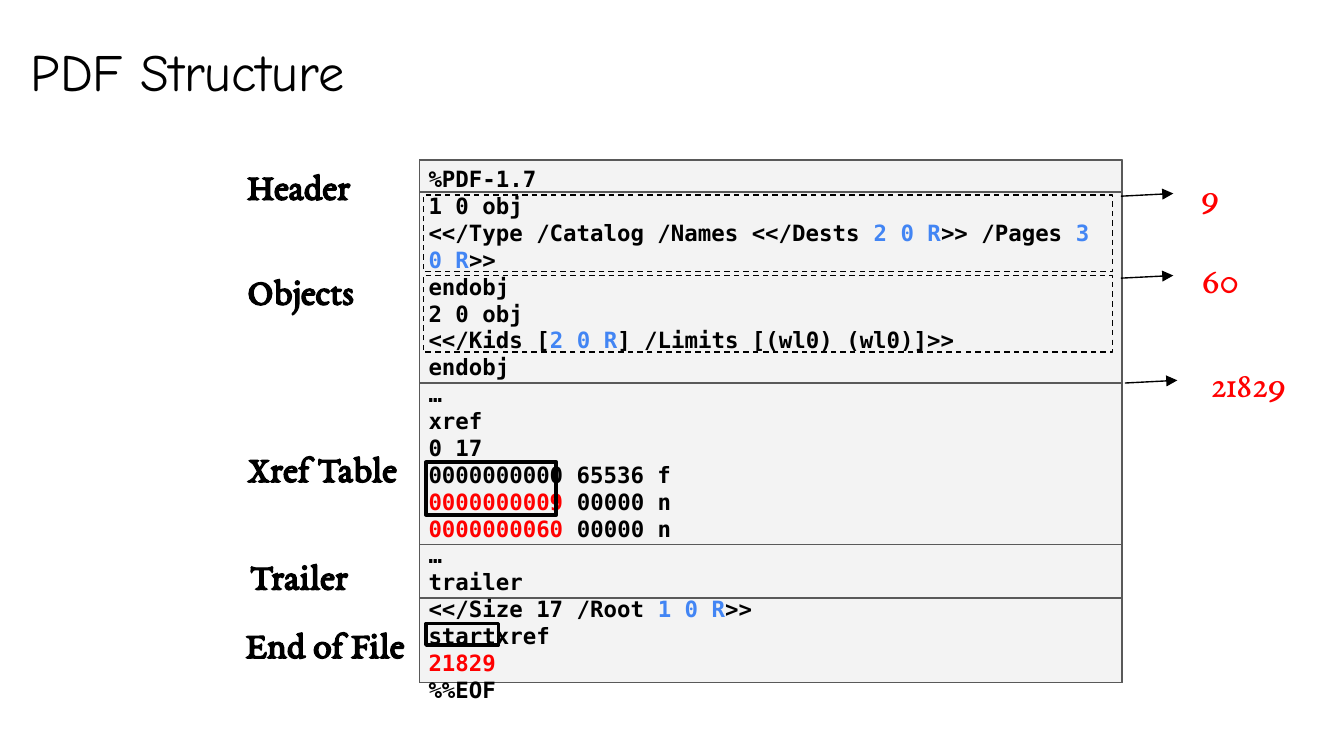
from dataclasses import dataclass

from lxml import etree
from pptx import Presentation
from pptx.dml.color import RGBColor
from pptx.enum.dml import MSO_LINE_DASH_STYLE as Dash
from pptx.enum.shapes import MSO_CONNECTOR as Conn, MSO_SHAPE as Shape
from pptx.enum.text import MSO_ANCHOR as Anchor, MSO_AUTO_SIZE as AutoSize, PP_ALIGN as Align
from pptx.oxml.ns import qn
from pptx.util import Inches, Pt


@dataclass(frozen=True)
class Theme:
    ink: str = "000000"
    band: str = "F3F3F3"
    border: str = "595959"
    ref: str = "4285F4"
    offset: str = "FF0000"
    title_font: str = "Comic Neue"
    label_font: str = "EB Garamond"
    code_font: str = "DejaVu Sans Mono"
    title_size: float = 28
    label_size: float = 20
    code_size: float = 12
    code_pitch: float = 14.4
    thin: float = 0.75
    thick: float = 2


T = Theme()

CODE = [
    ["%PDF-1.7"],
    ["1 0 obj"],
    ["<</Type /Catalog /Names <</Dests ", ("2 0 R", T.ref), ">> /Pages ", ("3 0 R", T.ref), ">>"],
    ["endobj"],
    ["2 0 obj"],
    ["<</Kids [", ("2 0 R", T.ref), "] /Limits [(wl0) (wl0)]>>"],
    ["endobj"],
    ["…"],
    ["xref"],
    ["0 17"],
    ["0000000000 65536 f"],
    [("0000000009", T.offset), " 00000 n"],
    [("0000000060", T.offset), " 00000 n"],
    ["…"],
    ["trailer"],
    ["<</Size 17 /Root ", ("1 0 R", T.ref), ">>"],
    ["startxref"],
    [("21829", T.offset)],
    ["%%EOF"],
]


def write(shape, lines, font, size, color=T.ink, bold=False, align=Align.LEFT,
          anchor=Anchor.TOP, pitch=None):
    tf = shape.text_frame
    tf.word_wrap = True
    tf.auto_size = AutoSize.NONE
    tf.vertical_anchor = anchor
    tf.margin_left = tf.margin_right = tf.margin_top = tf.margin_bottom = Inches(0.1)
    for i, line in enumerate(lines):
        p = tf.add_paragraph() if i else tf.paragraphs[0]
        p.alignment = align
        if pitch:
            p.line_spacing = Pt(pitch)
        for part in line:
            text, tint = (part, color) if isinstance(part, str) else part
            r = p.add_run()
            r.text = text
            r.font.name, r.font.size, r.font.bold = font, Pt(size), bold
            r.font.color.rgb = RGBColor.from_string(tint)


def add_text(s, box, lines, **fmt):
    write(s.shapes.add_textbox(*map(Inches, box)), lines, **fmt)


def add_rect(s, box, line, width=T.thin, fill=None, dash=None):
    sp = s.shapes.add_shape(Shape.RECTANGLE, *map(Inches, box))
    sp.shadow.inherit = False
    if fill:
        sp.fill.solid()
        sp.fill.fore_color.rgb = RGBColor.from_string(fill)
    else:
        sp.fill.background()
    sp.line.color.rgb = RGBColor.from_string(line)
    sp.line.width = Pt(width)
    if dash:
        sp.line.dash_style = dash


def add_arrow(s, x, y, dx, dy):
    c = s.shapes.add_connector(Conn.STRAIGHT, *map(Inches, (x, y, x + dx, y + dy)))
    c.line.color.rgb = RGBColor.from_string(T.ink)
    c.line.width = Pt(T.thin)
    etree.SubElement(c._element.spPr.get_or_add_ln(), qn("a:tailEnd"), type="triangle")
    etree.SubElement(c._element.spPr, qn("a:effectLst"))


def add_title(s, box, text):
    title = s.shapes.title
    title.left, title.top, title.width, title.height = map(Inches, box)
    write(title, [[text]], font=T.title_font, size=T.title_size)


def add_bands(s, box):
    x, y, w, h = box
    top = y
    for height in (0.24, 1.42, 1.2, 0.4, 0.63):
        add_rect(s, (x, top, w, height), T.border, fill=T.band)
        top += height
    add_rect(s, box, T.border)


def add_labels(s, box):
    x, y, w, h = box
    for text, dx, dy, width, height in (("Header", 0.01, 0, 1.52, 0.57),
                                        ("Objects", 0.01, 0.78, 1.52, 0.48),
                                        ("Xref Table", 0.01, 2.1, 1.52, 0.48),
                                        ("Trailer", 0.03, 2.9, 1.17, 0.45),
                                        ("End of File", 0, 3.41, w, 0.57)):
        add_text(s, (x + dx, y + dy, width, height), [[text]], font=T.label_font,
                 size=T.label_size, bold=True)


def add_code(s, box):
    x, y, w, h = box
    for dy in (0.32, 0.92):
        add_rect(s, (x + 0.06, y + dy, 5.13, 0.57), T.ink, dash=Dash.DASH)
    add_text(s, box, CODE, font=T.code_font, size=T.code_size, bold=True, pitch=T.code_pitch)
    for dy, width, height in ((3.51, 0.54, 0.16), (2.31, 0.97, 0.39)):
        add_rect(s, (x + 0.08, y + dy, width, height), T.ink, width=T.thick)


def add_offsets(s, box):
    x, y, w, h = box
    for text, dx, dy, text_dx, text_dy, width in (("9", 0, 0.18, 0.39, 0, 0.54),
                                                  ("60", 0, 0.79, 0.47, 0.63, 0.54),
                                                  ("21829", 0.03, 1.57, 0.45, 1.4, 0.99)):
        add_arrow(s, x + dx, y + dy, 0.39, -0.02)
        add_text(s, (x + text_dx, y + text_dy, width, 0.33), [[text]], font=T.label_font,
                 size=T.label_size, color=T.offset, align=Align.CENTER, anchor=Anchor.MIDDLE)


def main():
    prs = Presentation()
    prs.slide_width = Inches(10)
    prs.slide_height = prs.slide_width * 9 // 16
    s = prs.slides.add_slide(prs.slide_layouts[5])
    add_title(s, (0.13, 0.19, 3.04, 0.57), "PDF Structure")
    add_bands(s, (3.12, 1.19, 5.23, 3.89))
    add_labels(s, (1.73, 1.11, 1.67, 3.98))
    add_offsets(s, (8.34, 1.28, 1.44, 1.73))
    add_code(s, (3.09, 1.13, 5.31, 3.89))
    prs.save("out.pptx")


if __name__ == "__main__":
    main()
